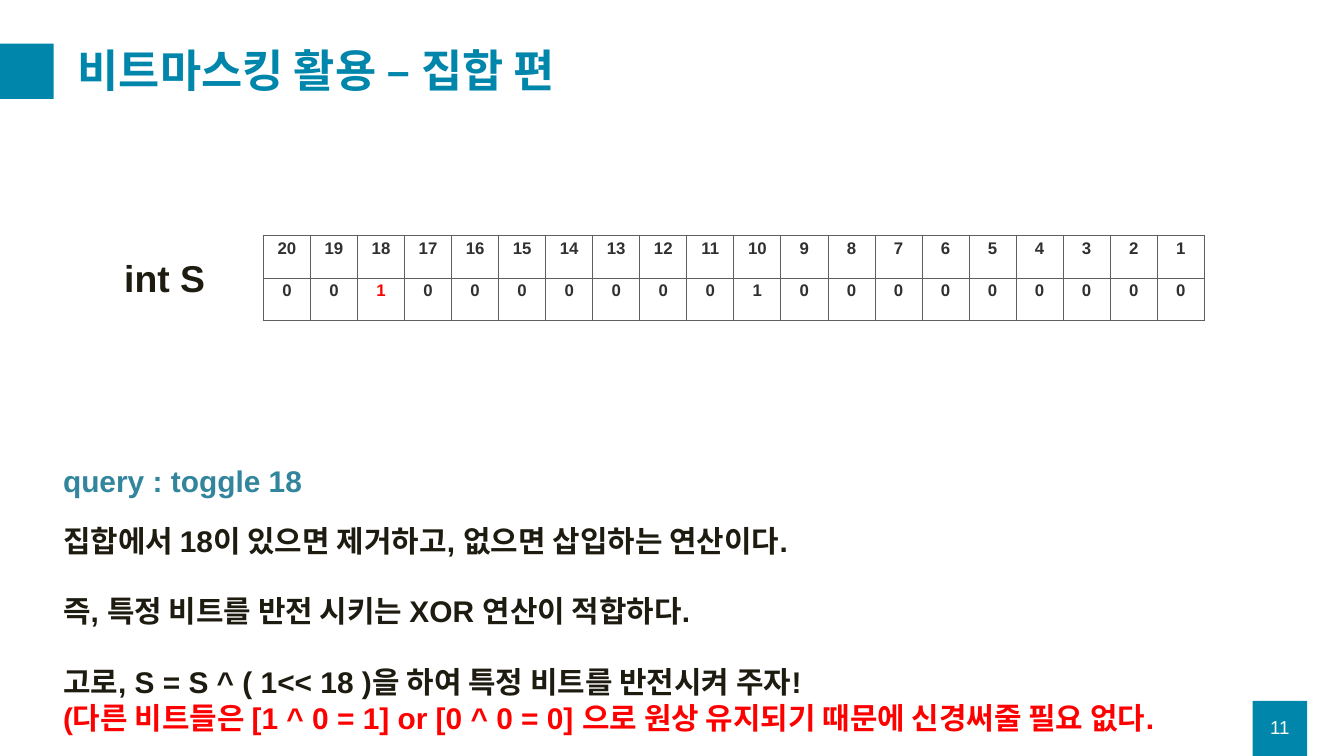
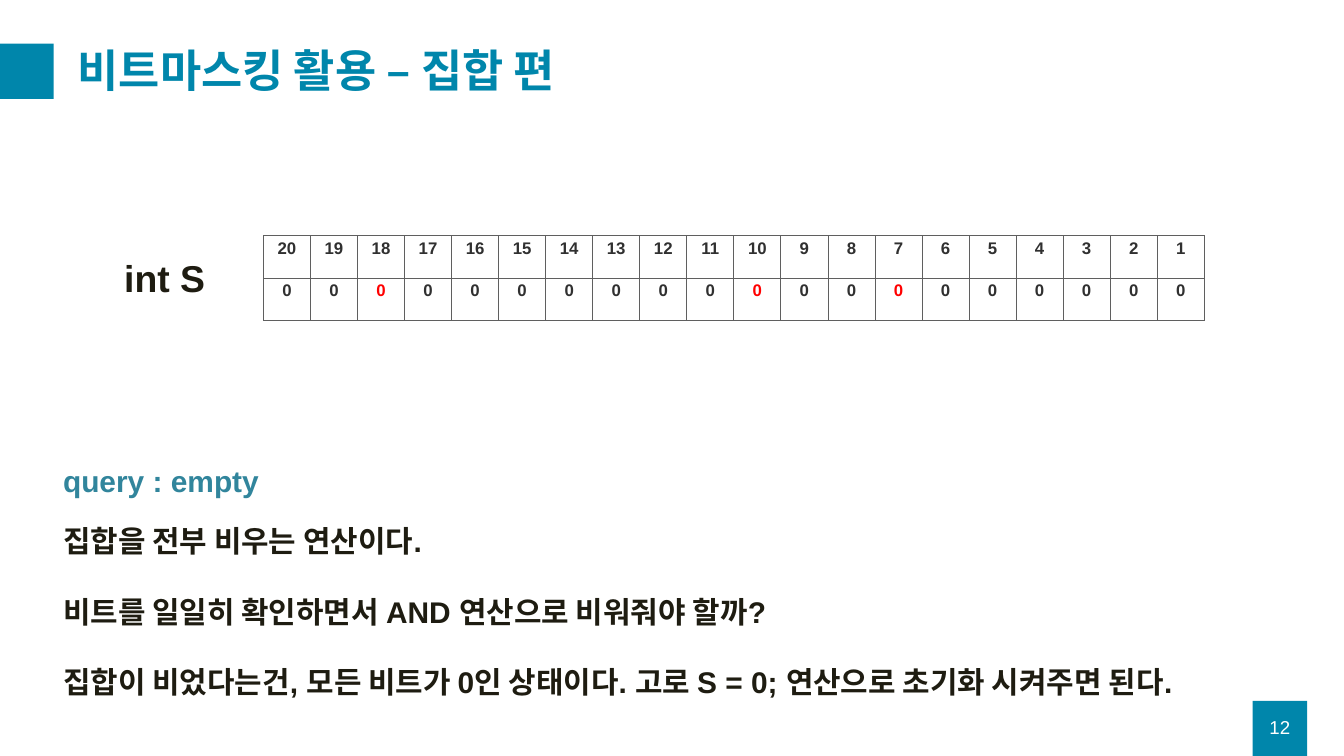
from lxml.etree import SubElement
from pptx import Presentation
from pptx.dml.color import RGBColor
from pptx.enum.shapes import MSO_SHAPE
from pptx.enum.text import MSO_ANCHOR, PP_ALIGN
from pptx.oxml.ns import qn
from pptx.util import Inches, Pt

TEAL = RGBColor(0x00, 0x86, 0xAB)
QUERY_BLUE = RGBColor(0x31, 0x85, 0x9C)
INK = RGBColor(0x1E, 0x1C, 0x11)
CELL_INK = RGBColor(0x30, 0x30, 0x30)
CELL_BORDER = RGBColor(0x5F, 0x5F, 0x5F)
RED = RGBColor(0xFF, 0x00, 0x00)
WHITE = RGBColor(0xFF, 0xFF, 0xFF)

FONT = "Arial"
TITLE = "비트마스킹 활용 – 집합 편"
BIT_COUNT = 20
CELL_WIDTH = 0.7
CELL_HEIGHT = 0.63
BAND_SIZE = (0.81, 0.82)
STATEMENT_GAP = Pt(37)

QUERIES = [
    {
        "page": 11,
        "query": "query : toggle 18",
        "members": {18, 10},
        "highlighted": {18},
        "statements": [
            "집합에서 18이 있으면 제거하고, 없으면 삽입하는 연산이다.",
            "즉, 특정 비트를 반전 시키는 XOR 연산이 적합하다.",
            "고로, S = S ^ ( 1<< 18 )을 하여 특정 비트를 반전시켜 주자!",
        ],
        "remark": "(다른 비트들은 [1 ^ 0 = 1] or [0 ^ 0 = 0] 으로 원상 유지되기 때문에 신경써줄 필요 없다.",
        "height": 3.33,
    },
    {
        "page": 12,
        "query": "query : empty",
        "members": set(),
        "highlighted": {18, 10, 7},
        "statements": [
            "집합을 전부 비우는 연산이다.",
            "비트를 일일히 확인하면서 AND 연산으로 비워줘야 할까?",
            "집합이 비었다는건, 모든 비트가 0인 상태이다. 고로 S = 0; 연산으로 초기화 시켜주면 된다.",
        ],
        "remark": None,
        "height": 2.79,
    },
]


class Deck:
    def __init__(self):
        self.presentation = Presentation()
        self.presentation.slide_width = Inches(20)
        self.presentation.slide_height = Inches(11.25)
        self.slide = None

    def start_slide(self, page):
        blank = self.presentation.slide_layouts[6]
        self.slide = self.presentation.slides.add_slide(blank)
        self.band(18.64, 10.43)
        self.band(-0.01, 0.65)
        heading = self.text(1.06, 0.5, 18.25, 1.18, TITLE, 48, TEAL, anchor=MSO_ANCHOR.MIDDLE)
        heading.paragraphs[0].line_spacing = 0.9
        self.text(18.64, 10.52, 0.81, 0.6, str(page), 20, WHITE, bold=False,
                  align=PP_ALIGN.CENTER, anchor=MSO_ANCHOR.MIDDLE)

    def band(self, left, top):
        band = self.slide.shapes.add_shape(
            MSO_SHAPE.RECTANGLE, Inches(left), Inches(top), *map(Inches, BAND_SIZE))
        band.shadow.inherit = False
        band.fill.solid()
        band.fill.fore_color.rgb = TEAL
        band.line.fill.background()

    def run(self, paragraph, words, size, color, bold=True):
        run = paragraph.add_run()
        run.text = words
        run.font.name = FONT
        run.font.size = Pt(size)
        run.font.bold = bold
        run.font.color.rgb = color

    def text(self, left, top, width, height, words, size, color, bold=True,
             align=PP_ALIGN.LEFT, anchor=MSO_ANCHOR.TOP):
        box = self.slide.shapes.add_textbox(
            Inches(left), Inches(top), Inches(width), Inches(height))
        frame = box.text_frame
        frame.word_wrap = True
        frame.vertical_anchor = anchor
        frame.paragraphs[0].alignment = align
        self.run(frame.paragraphs[0], words, size, color, bold)
        return frame

    def explanation(self, statements, remark, height):
        first, *others = statements
        frame = self.text(0.84, 7.73, 18.6, height, first, 32, INK)
        for statement in others:
            paragraph = frame.add_paragraph()
            paragraph.space_before = STATEMENT_GAP
            self.run(paragraph, statement, 32, INK)
        if remark:
            self.run(frame.add_paragraph(), remark, 32, RED)

    def bit_table(self, members, highlighted):
        table = self.slide.shapes.add_table(
            2, BIT_COUNT, Inches(3.92), Inches(3.51),
            Inches(CELL_WIDTH * BIT_COUNT), Inches(CELL_HEIGHT * 2)).table
        table.first_row = False
        table.horz_banding = False
        for row in table.rows:
            row.height = Inches(CELL_HEIGHT)
        for index, column in enumerate(table.columns):
            column.width = Inches(CELL_WIDTH)
            position = BIT_COUNT - index
            bit_color = RED if position in highlighted else CELL_INK
            self.cell(table.cell(0, index), position, CELL_INK)
            self.cell(table.cell(1, index), int(position in members), bit_color)

    def cell(self, cell, value, color):
        properties = cell._tc.get_or_add_tcPr()
        for side in ("a:lnL", "a:lnR", "a:lnT", "a:lnB"):
            border = SubElement(properties, qn(side), w=str(Pt(1)))
            fill = SubElement(border, qn("a:solidFill"))
            SubElement(fill, qn("a:srgbClr"), val=str(CELL_BORDER))
        cell.fill.background()
        paragraph = cell.text_frame.paragraphs[0]
        paragraph.alignment = PP_ALIGN.CENTER
        self.run(paragraph, str(value), 18, color)


def main():
    deck = Deck()
    for query in QUERIES:
        deck.start_slide(query["page"])
        deck.text(1.75, 3.75, 1.71, 0.77, "int S", 40, INK)
        deck.bit_table(query["members"], query["highlighted"])
        deck.explanation(query["statements"], query["remark"], query["height"])
        deck.text(0.84, 6.83, 5.8, 0.64, query["query"], 32, QUERY_BLUE)
    deck.presentation.save("out.pptx")


if __name__ == "__main__":
    main()
